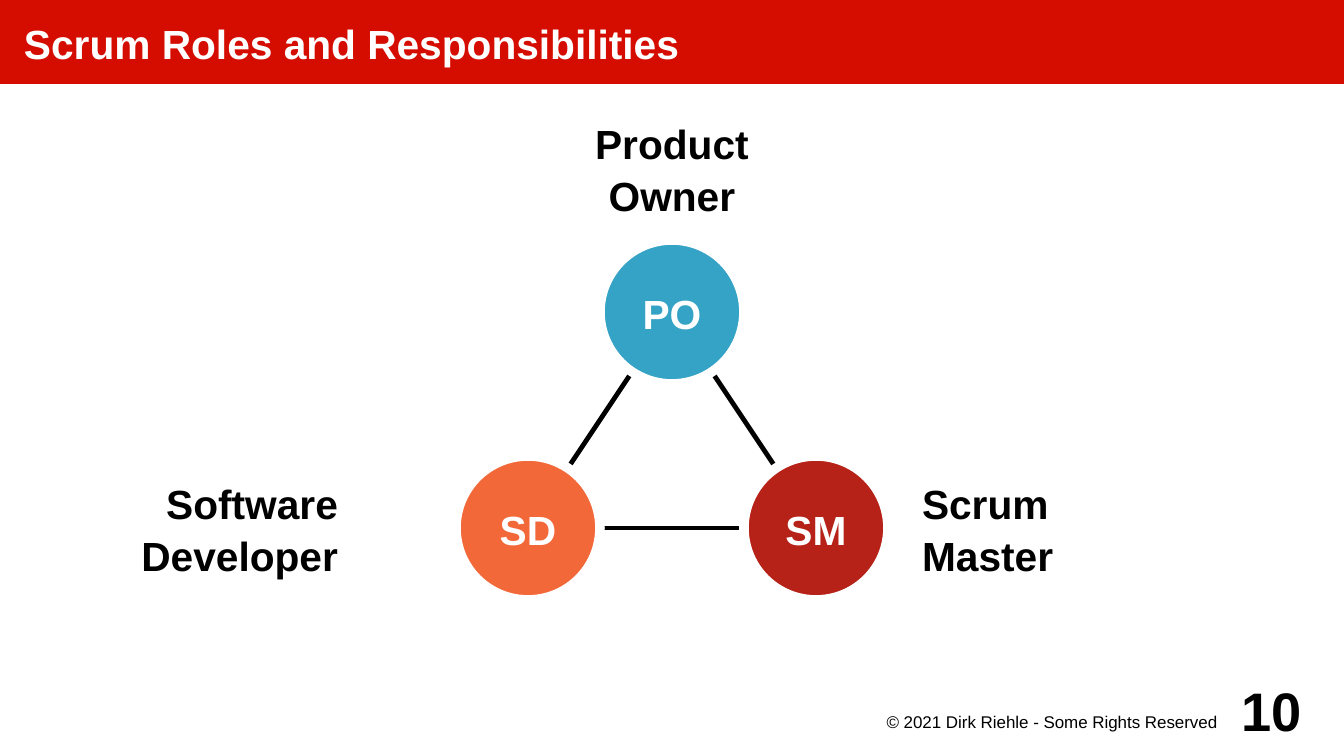
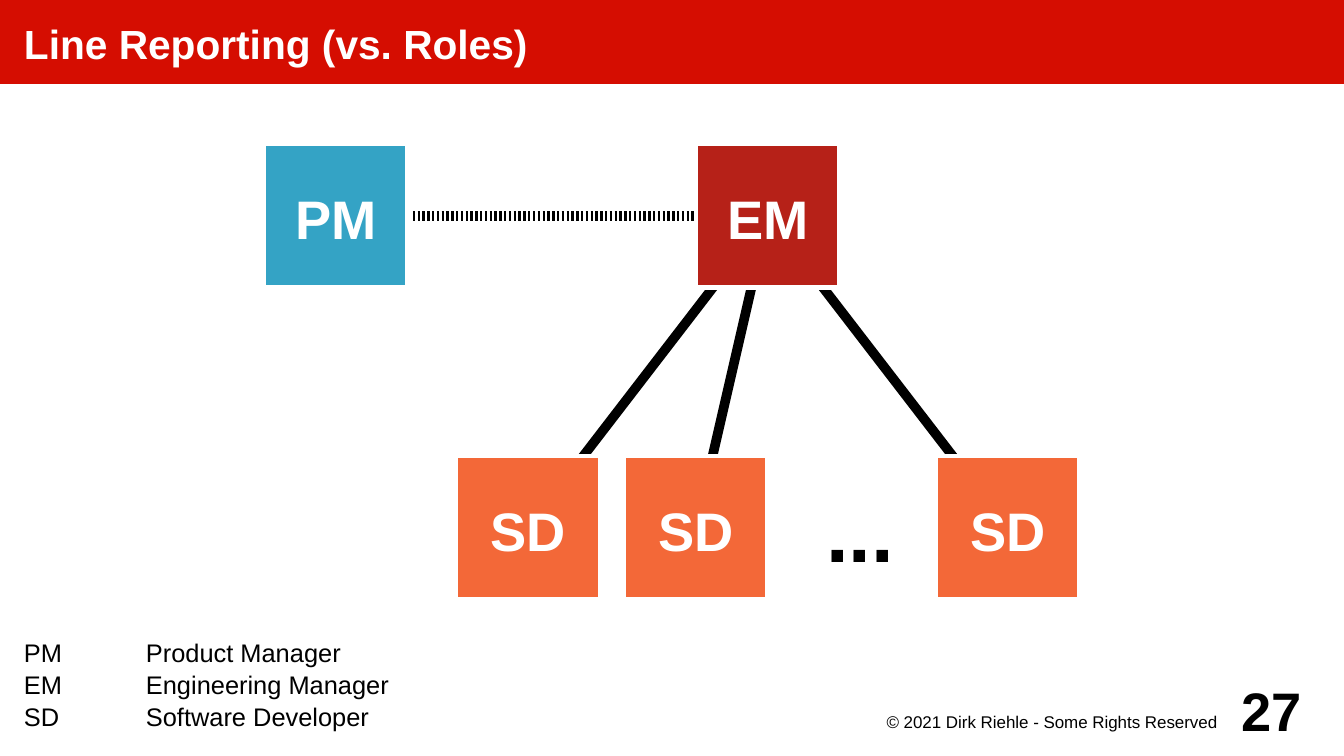
from lxml import etree
from pptx import Presentation
from pptx.dml.color import RGBColor
from pptx.enum.shapes import MSO_CONNECTOR, MSO_SHAPE
from pptx.enum.text import MSO_ANCHOR, PP_ALIGN
from pptx.oxml.ns import qn
from pptx.util import Pt

RECT, CIRCLE = MSO_SHAPE.RECTANGLE, MSO_SHAPE.OVAL
STRAIGHT = MSO_CONNECTOR.STRAIGHT
LEFT, CENTER, RIGHT = PP_ALIGN.LEFT, PP_ALIGN.CENTER, PP_ALIGN.RIGHT
TOP, MIDDLE, BOTTOM = MSO_ANCHOR.TOP, MSO_ANCHOR.MIDDLE, MSO_ANCHOR.BOTTOM

PX_PER_INCH = 122
WIDTH, HEIGHT = 1344, 756
NODE = 144  # diameter or side of every node
COLORS = {
    "band": "D50D01",
    "blue": "34A3C5",
    "red": "B62118",
    "orange": "F36838",
    "black": "000000",
    "white": "FFFFFF",
}


def px(length):
    return round(length * 914400 / PX_PER_INCH)


def rgb(name):
    return RGBColor.from_string(COLORS[name])


class Deck:
    font = "Arial"
    line_spacing = 1.05

    def __init__(self):
        self.prs = Presentation()
        self.prs.slide_width, self.prs.slide_height = px(WIDTH), px(HEIGHT)
        self.slide = None

    def new_slide(self, title, number):
        """Start a slide with title band, copyright line and page number."""
        self.slide = self.prs.slides.add_slide(self.prs.slide_layouts[6])
        band = self.shape(RECT, 0, 0, WIDTH, 84, "band")
        self.set_text(band, [title], 24, "white", bold=True, insets=(24, 0, 0, 0))
        self.text(864, 709, 353, 36, ["© 2021 Dirk Riehle - Some Rights Reserved"],
                  10, align=RIGHT, anchor=TOP, insets=(0, 2, 0, 0))
        self.text(1224, 672, 96, 72, [str(number)], 32, bold=True,
                  align=CENTER, insets=(0, 0, 0, 0))

    def set_text(self, box, lines, size, color="black", bold=False, align=LEFT,
                 anchor=MIDDLE, insets=(10, 10, 10, 10), wrap=True, tab=None):
        """Fill a shape with one paragraph per line."""
        frame = box.text_frame
        frame.word_wrap = wrap
        frame.vertical_anchor = anchor
        (frame.margin_left, frame.margin_top,
         frame.margin_right, frame.margin_bottom) = map(px, insets)
        for index, line in enumerate(lines):
            para = frame.add_paragraph() if index else frame.paragraphs[0]
            para.alignment = align
            para.line_spacing = self.line_spacing
            if tab:
                stops = etree.SubElement(para._p.get_or_add_pPr(), qn("a:tabLst"))
                etree.SubElement(stops, qn("a:tab"), pos=str(px(tab)), algn="l")
            run = para.add_run()
            run.text = line
            run.font.name, run.font.size = self.font, Pt(size)
            run.font.bold = bold
            run.font.color.rgb = rgb(color)

    def text(self, x, y, w, h, lines, size, **style):
        box = self.slide.shapes.add_textbox(px(x), px(y), px(w), px(h))
        self.set_text(box, lines, size, **style)

    def shape(self, kind, x, y, w, h, fill):
        shape = self.slide.shapes.add_shape(kind, px(x), px(y), px(w), px(h))
        shape.shadow.inherit = False
        shape.fill.solid()
        shape.fill.fore_color.rgb = rgb(fill)
        shape.line.fill.background()
        return shape

    def node(self, kind, center, label, fill, size, outline):
        """Draw a labelled node whose white outline cuts the lines short."""
        x, y = center
        node = self.shape(kind, x - NODE // 2, y - NODE // 2, NODE, NODE, fill)
        node.line.color.rgb = rgb("white")
        node.line.width = Pt(outline)
        self.set_text(node, [label], size, "white", bold=True, align=CENTER,
                      wrap=False)

    def link(self, start, end, width, striped=False):
        link = self.slide.shapes.add_connector(STRAIGHT, *map(px, start + end))
        link.line.color.rgb = rgb("black")
        link.line.width = Pt(width)
        if striped:
            outline = link._element.spPr.find(qn("a:ln"))
            dashes = etree.SubElement(outline, qn("a:custDash"))
            etree.SubElement(dashes, qn("a:ds"), d="25000", sp="25000")
        etree.SubElement(link._element.spPr, qn("a:effectLst"))


def scrum_roles(deck):
    deck.new_slide("Scrum Roles and Responsibilities", 10)
    owner, developer, master = (672, 312), (528, 528), (816, 528)

    # Triangle of roles
    for start, end in ((developer, owner), (owner, master), (developer, master)):
        deck.link(start, end, 2.83)
    for center, label, fill in ((master, "SM", "red"), (owner, "PO", "blue"),
                                (developer, "SD", "orange")):
        deck.node(CIRCLE, center, label, fill, 24, 5.67)

    # Role names
    for x, y, w, lines, align in (
            (480, 96, 384, ["Product", "Owner"], CENTER),
            (912, 456, 384, ["Scrum", "Master"], LEFT),
            (48, 456, 300, ["Software", "Developer"], RIGHT)):
        deck.text(x, y, w, NODE, lines, 24, bold=True, align=align)


def line_reporting(deck):
    deck.new_slide("Line Reporting (vs. Roles)", 27)
    product_manager, engineering_manager = (336, 216), (768, 216)
    developers = [(x, 528) for x in (528, 696, 1008)]

    # Reporting lines
    deck.link(product_manager, engineering_manager, 5.67, striped=True)
    for developer in developers:
        deck.link(engineering_manager, developer, 5.67)

    # People
    deck.node(RECT, product_manager, "PM", "blue", 32, 2.83)
    deck.node(RECT, engineering_manager, "EM", "red", 32, 2.83)
    for developer in developers:
        deck.node(RECT, developer, "SD", "orange", 32, 2.83)
    deck.text(788, 456, NODE, NODE, ["..."], 48, bold=True, align=CENTER)

    # Legend
    deck.text(0, 564, 864, 192,
              ["PM\tProduct Manager", "EM\tEngineering Manager",
               "SD\tSoftware Developer"],
              15, anchor=BOTTOM, insets=(24, 24, 24, 24), tab=122)


def main():
    deck = Deck()
    scrum_roles(deck)
    line_reporting(deck)
    deck.prs.save("out.pptx")


if __name__ == "__main__":
    main()
